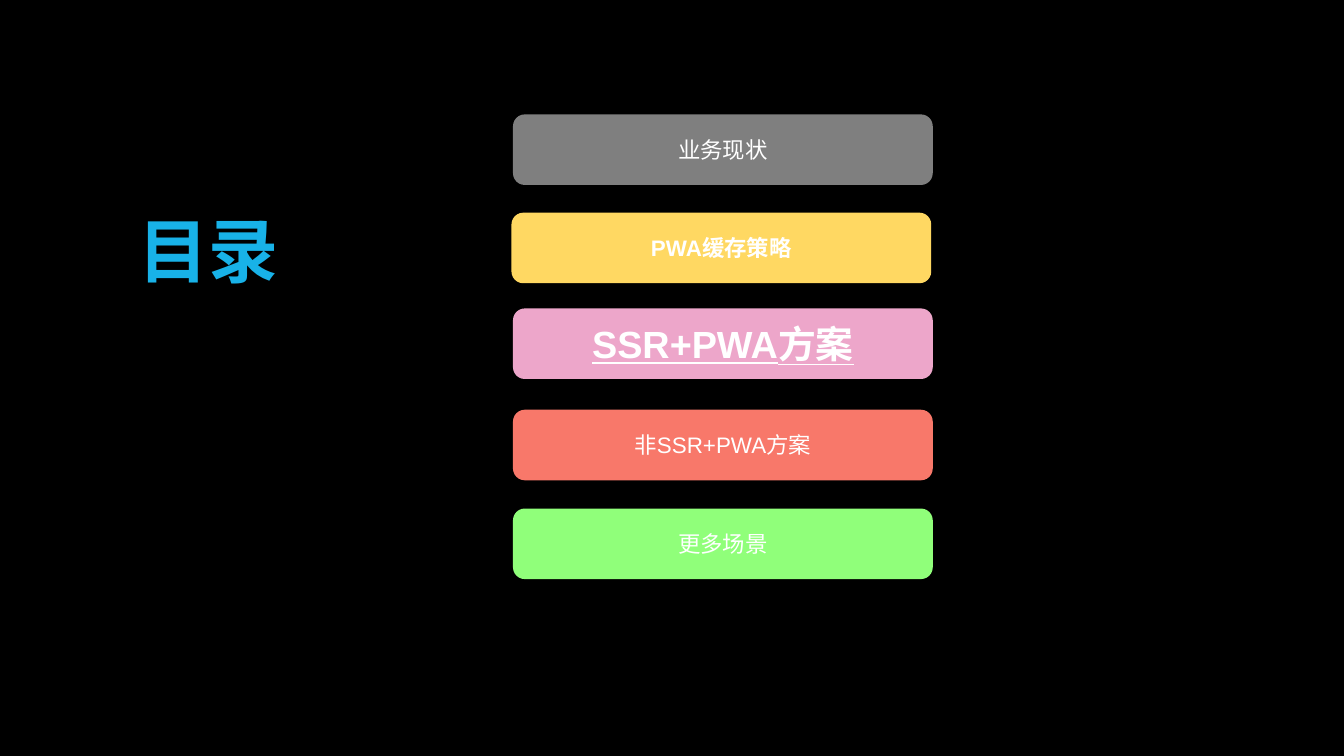
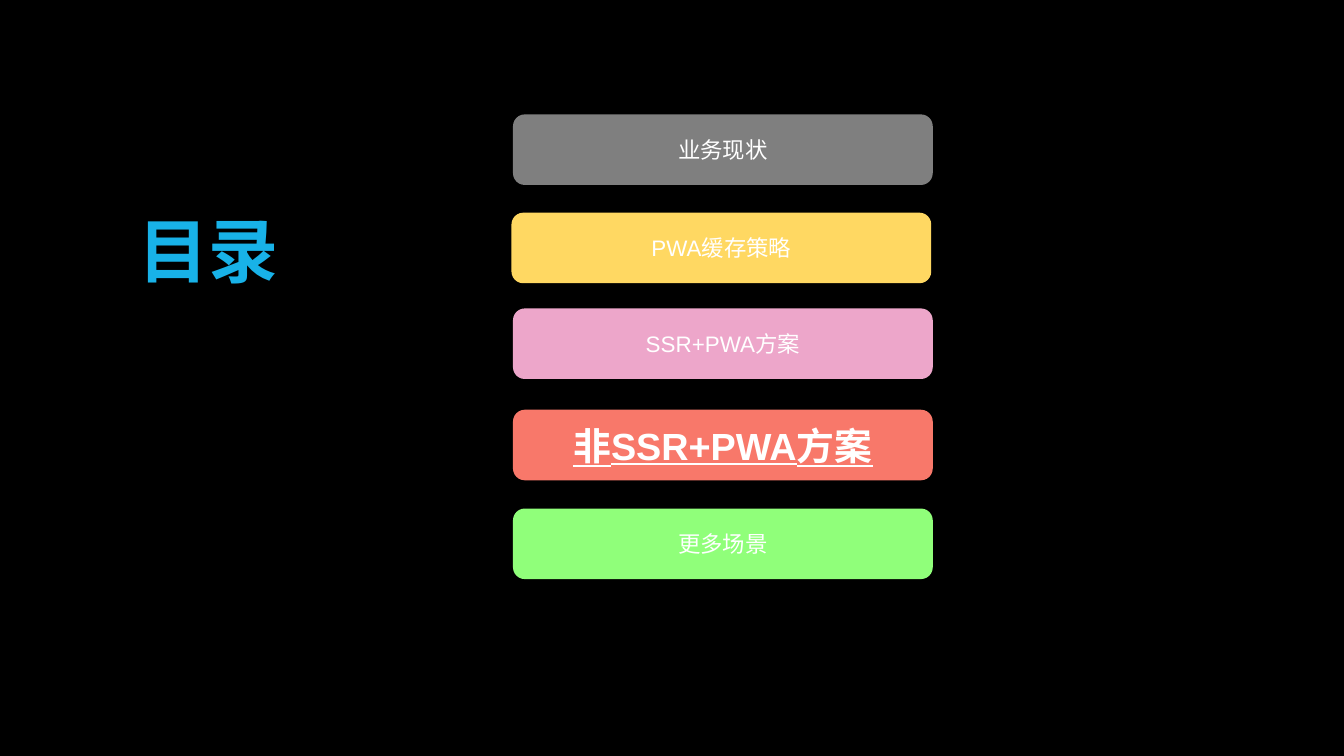
"""Build two agenda slides, each highlighting the section that comes next."""
from dataclasses import dataclass

from lxml import etree
from pptx import Presentation
from pptx import util as u
from pptx.dml import color
from pptx.enum import shapes, text
from pptx.oxml import ns


@dataclass(frozen=True)
class Theme:
    background: str = "000000"
    title: str = "18B2E8"
    label: str = "FFFFFF"
    gray: str = "7F7F7F"
    yellow: str = "FFD862"
    pink: str = "EDA6CA"
    coral: str = "F8786A"
    green: str = "90FF7A"
    latin_font: str = "Arial"
    chinese_font: str = "Noto Sans CJK SC"
    title_size: int = 100
    label_size: int = 32
    current_size: int = 54


theme = Theme()


def write_text(shape, content, font_name, size, rgb, bold=None, underline=None):
    frame = shape.text_frame
    frame.vertical_anchor = text.MSO_ANCHOR.MIDDLE
    frame.margin_left = frame.margin_right = u.Inches(0.06)
    frame.margin_top = frame.margin_bottom = u.Inches(0.06)
    paragraph = frame.paragraphs[0]
    paragraph.alignment = text.PP_ALIGN.CENTER
    run = paragraph.add_run()
    run.text = content
    run.font.name = font_name
    run.font.size = u.Pt(size)
    run.font.bold = bold
    run.font.underline = underline
    run.font.color.rgb = color.RGBColor.from_string(rgb)
    latin = run.font._element.find(ns.qn("a:latin"))
    east_asian = etree.Element(ns.qn("a:ea"), typeface=theme.chinese_font)
    latin.addnext(east_asian)


sections = [
    ("业务现状", 10.18, 2.27, theme.gray),
    ("PWA缓存策略", 10.15, 4.22, theme.yellow),
    ("SSR+PWA方案", 10.18, 6.12, theme.pink),
    ("非SSR+PWA方案", 10.18, 8.13, theme.coral),
    ("更多场景", 10.18, 10.09, theme.green),
]
agendas = [
    {"current": "SSR+PWA方案", "bold": {"PWA缓存策略"}},
    {"current": "非SSR+PWA方案", "bold": set()},
]

presentation = Presentation()
presentation.slide_width = u.Inches(26.67)
presentation.slide_height = u.Inches(15)

for agenda in agendas:
    slide = presentation.slides.add_slide(presentation.slide_layouts[6])
    slide.background.fill.solid()
    slide.background.fill.fore_color.rgb = color.RGBColor.from_string(theme.background)

    title = slide.shapes.add_textbox(
        u.Inches(2.69), u.Inches(3.97), u.Inches(2.9), u.Inches(1.96))
    title.text_frame.word_wrap = False
    title.text_frame.auto_size = text.MSO_AUTO_SIZE.SHAPE_TO_FIT_TEXT
    write_text(title, "目录", theme.chinese_font, theme.title_size, theme.title, bold=True)

    for label, left, top, fill in sections:
        button = slide.shapes.add_shape(
            shapes.MSO_SHAPE.ROUNDED_RECTANGLE,
            u.Inches(left), u.Inches(top), u.Inches(8.33), u.Inches(1.4))
        button.shadow.inherit = False
        button.fill.solid()
        button.fill.fore_color.rgb = color.RGBColor.from_string(fill)
        button.line.fill.background()
        button.text_frame.word_wrap = True
        is_current = label == agenda["current"]
        size = theme.current_size if is_current else theme.label_size
        write_text(button, label, theme.latin_font, size, theme.label,
                   bold=is_current or label in agenda["bold"], underline=is_current)

presentation.save("out.pptx")
